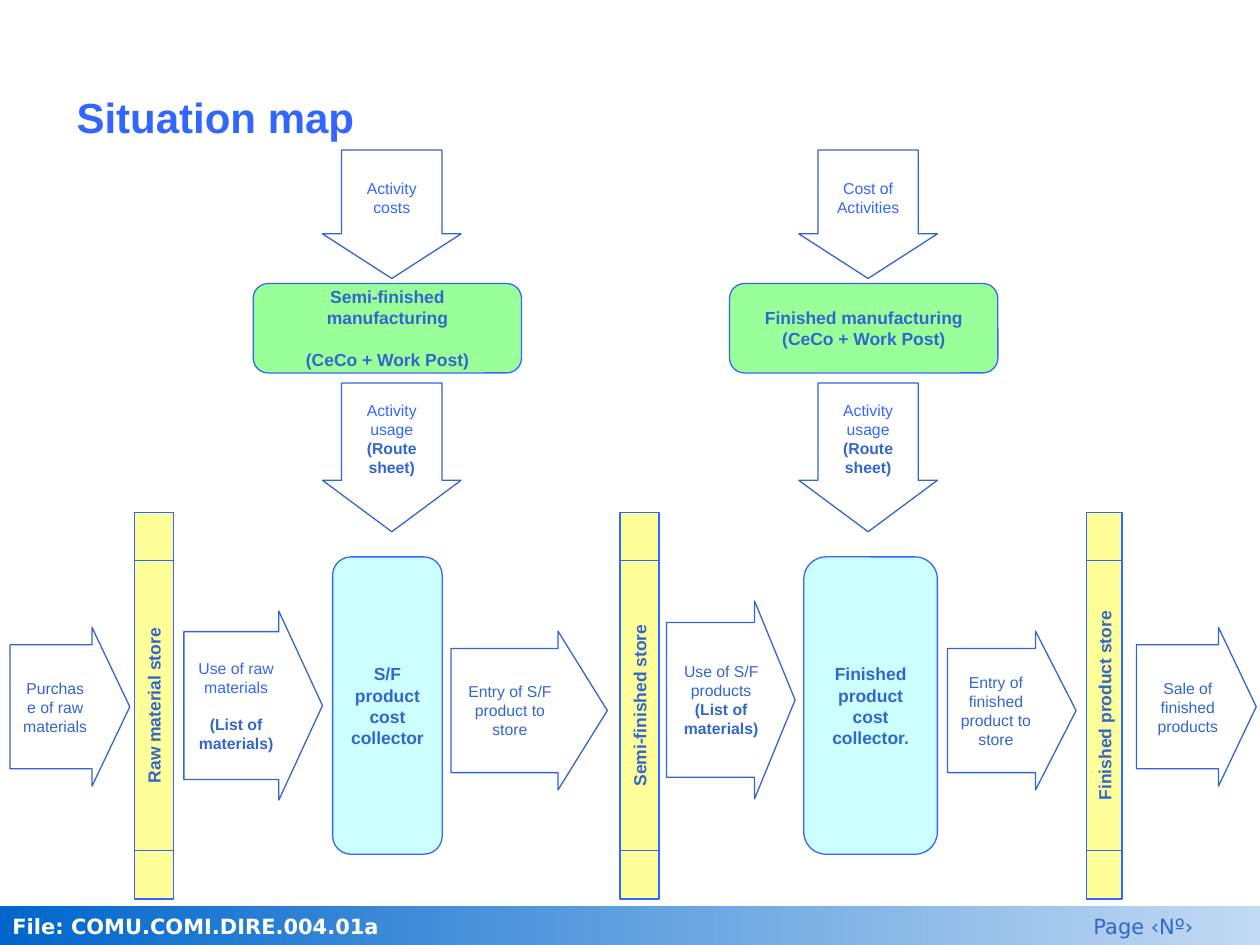
from dataclasses import dataclass

from pptx import Presentation
from pptx.dml.color import RGBColor
from pptx.enum.shapes import MSO_SHAPE
from pptx.enum.text import MSO_ANCHOR, PP_ALIGN
from pptx.util import Inches, Pt

RECT = MSO_SHAPE.RECTANGLE
ROUNDED = MSO_SHAPE.ROUNDED_RECTANGLE
STORE = MSO_SHAPE.FLOWCHART_PREDEFINED_PROCESS
DOWN = MSO_SHAPE.DOWN_ARROW
RIGHT = MSO_SHAPE.RIGHT_ARROW
TOP, MIDDLE = MSO_ANCHOR.TOP, MSO_ANCHOR.MIDDLE
LEFT, CENTER = PP_ALIGN.LEFT, PP_ALIGN.CENTER


@dataclass(frozen=True)
class Theme:
    bright: str = "3366FF"
    blue: str = "3366CC"
    white: str = "FFFFFF"
    green: str = "99FF99"
    yellow: str = "FFFF99"
    cyan: str = "CCFFFF"
    bar_light: str = "C2DAF2"
    bar_dark: str = "0066CC"
    font: str = "Arial"
    footer_font: str = "DejaVu Sans"
    title: int = 24
    footer: int = 12
    box: int = 10
    arrow: int = 9
    line: float = 0.75


@dataclass(frozen=True)
class Line:
    text: str
    color: str
    bold: bool = False
    gap: int = 0


class SlideBuilder:
    COLS, ROWS = 100, 75

    def __init__(self, prs, theme):
        self.theme = theme
        self.col = prs.slide_width / self.COLS
        self.row = prs.slide_height / self.ROWS
        self.s = prs.slides.add_slide(prs.slide_layouts[6])

    def place(self, x, y, w, h):
        return (round(x * self.col), round(y * self.row),
                round(w * self.col), round(h * self.row))

    def add_lines(self, sp, lines, size, font, align=CENTER, anchor=MIDDLE):
        tf = sp.text_frame
        tf.word_wrap = True
        tf.vertical_anchor = anchor
        for i, line in enumerate(lines):
            p = tf.paragraphs[0] if i == 0 else tf.add_paragraph()
            p.alignment = align
            if line.gap:
                p.space_before = Pt(line.gap)
            r = p.add_run()
            r.text = line.text
            r.font.name = font
            r.font.size = Pt(size)
            r.font.bold = line.bold
            r.font.color.rgb = RGBColor.from_string(line.color)
        return tf

    def shape(self, kind, at, line=None, fill=None):
        sp = self.s.shapes.add_shape(kind, *self.place(*at))
        sp.shadow.inherit = False
        if fill:
            sp.fill.solid()
            sp.fill.fore_color.rgb = RGBColor.from_string(fill)
        else:
            sp.fill.background()
        if line:
            sp.line.color.rgb = RGBColor.from_string(line)
            sp.line.width = Pt(self.theme.line)
        else:
            sp.line.fill.background()
        return sp

    def label(self, at, line, size, font):
        sp = self.s.shapes.add_textbox(*self.place(*at))
        self.add_lines(sp, [line], size, font, LEFT, TOP)

    def bar(self, at):
        fill = self.shape(RECT, at).fill
        fill.gradient()
        fill.gradient_angle = 180
        for stop, color in zip(fill.gradient_stops, (self.theme.bar_light, self.theme.bar_dark)):
            stop.color.rgb = RGBColor.from_string(color)

    def box(self, at, fill, *lines):
        sp = self.shape(ROUNDED, at, self.theme.bright, fill)
        sp.adjustments[0] = 0.167
        self.add_lines(sp, lines, self.theme.box, self.theme.font)

    def store(self, center, width, text):
        length, middle = 30.7, 56
        at = (center - length / 2, middle - width / 2, length, width)
        sp = self.shape(STORE, at, self.theme.bright, self.theme.yellow)
        sp.rotation = 270
        self.add_lines(sp, [Line(text, self.theme.blue, True)], self.theme.box, self.theme.font)

    def arrow(self, kind, at, shaft, head, lines, right_inset=0.1):
        sp = self.shape(kind, at, self.theme.blue)
        sp.adjustments[0] = shaft
        sp.adjustments[1] = head
        tf = self.add_lines(sp, lines, self.theme.arrow, self.theme.font)
        tf.margin_right = Inches(right_inset)

    def down(self, x, y, h, head, *lines):
        self.arrow(DOWN, (x, y, 11, h), 0.724, head, lines)

    def right(self, at, *lines, right_inset=0.1):
        self.arrow(RIGHT, at, 0.782, 0.315, lines, right_inset)


def main():
    prs = Presentation()
    prs.slide_width, prs.slide_height = Inches(10), Inches(7.5)
    t = Theme()
    b = SlideBuilder(prs, t)

    b.bar((0, 71.9, 100, 3.1))
    b.label((85.8, 72, 14.2, 3), Line("Page ‹Nº›", t.blue), t.footer, t.footer_font)
    b.label((0, 72, 35.8, 3), Line("File: COMU.COMI.DIRE.004.01a", t.white, True),
            t.footer, t.footer_font)
    b.label((5.1, 6.8, 90.6, 4.7), Line("Situation map", t.bright, True), t.title, t.font)

    stages = [
        (25.6,
         [Line("Activity costs", t.bright)],
         [Line("Semi-finished manufacturing", t.blue, True),
          Line("(CeCo + Work Post)", t.blue, True, gap=12)]),
        (63.4,
         [Line("Cost of", t.bright), Line("Activities", t.bright)],
         [Line("Finished manufacturing", t.blue, True),
          Line("(CeCo + Work Post)", t.blue, True)]),
    ]
    for x, costs, manufacturing in stages:
        b.down(x, 11.9, 10.2, 0.347, *costs)
        b.box((x - 5.5, 22.5, 21.3, 7.1), t.green, *manufacturing)
        b.down(x, 30.4, 11.8, 0.371, Line("Activity usage", t.bright),
               Line("(Route sheet)", t.blue, True))

    for center, width, text in [(12.2, 3.1, "Raw material store"),
                                (50.75, 3.1, "Semi-finished store"),
                                (87.65, 2.8, "Finished product store")]:
        b.store(center, width, text)

    for x, w, text in [(26.4, 8.7, "S/F product cost collector"),
                       (63.8, 10.6, "Finished product cost collector.")]:
        b.box((x, 44.2, w, 23.6), t.cyan, Line(text, t.blue, True))

    materials = "(List of materials)"
    b.right((0.8, 49.8, 9.5, 12.6), Line("Purchase of raw materials", t.blue))
    b.right((14.6, 48.5, 11, 15), Line("Use of raw materials", t.bright),
            Line(materials, t.blue, True, gap=10))
    b.right((35.8, 50.1, 12.4, 12.6), Line("Entry of S/F product to store", t.blue))
    b.right((52.9, 47.7, 10.2, 15.7), Line("Use of S/F products", t.blue),
            Line(materials, t.blue, True), right_inset=0)
    b.right((75.2, 50.1, 10.2, 12.6), Line("Entry of finished product to store", t.blue))
    b.right((90.2, 49.8, 9.5, 12.6), Line("Sale of finished products", t.blue), right_inset=0)

    prs.save("out.pptx")


if __name__ == "__main__":
    main()
